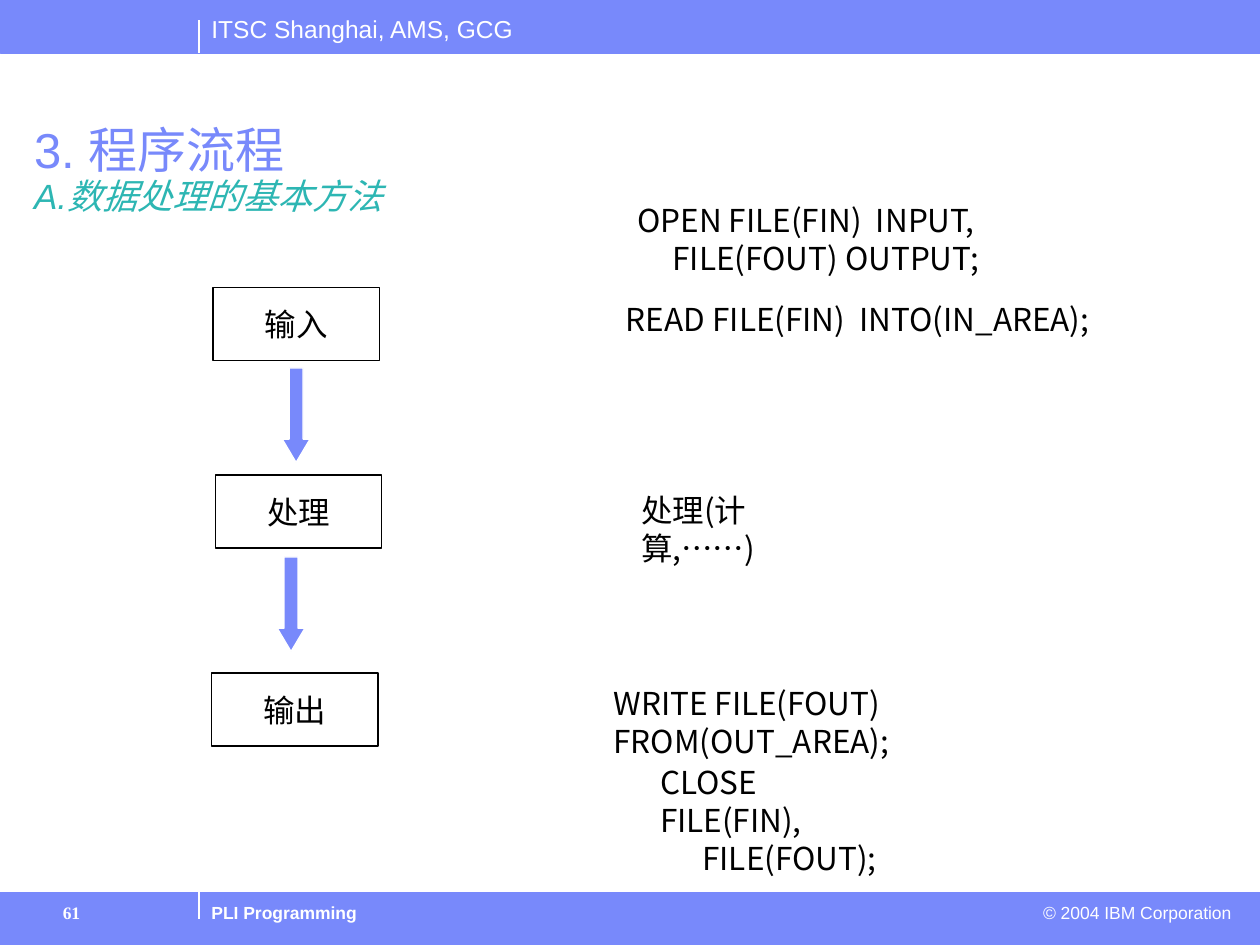
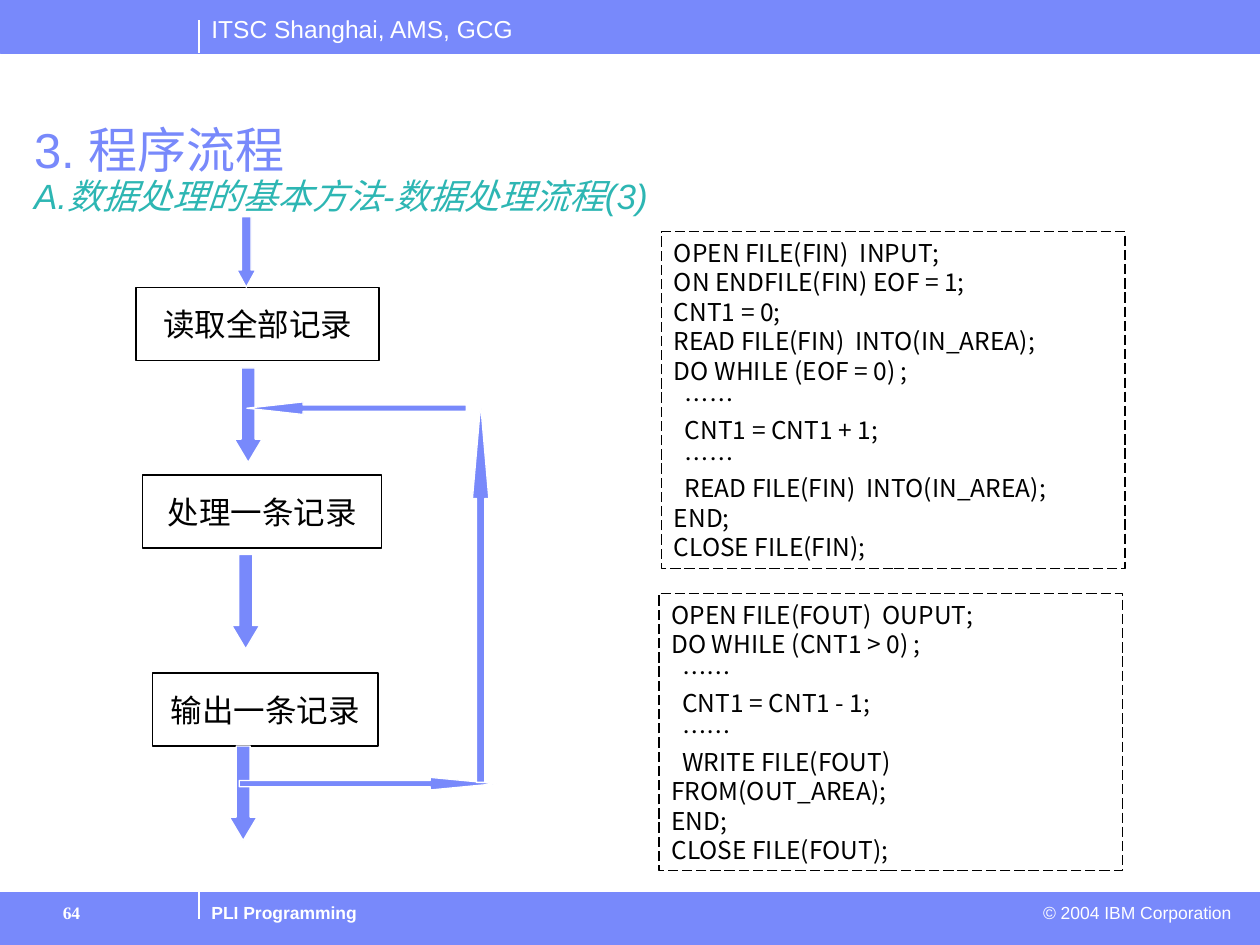
import pptx
import pptx.util
import pptx.dml.color
import pptx.enum.dml
import pptx.enum.shapes
import pptx.enum.text
import pptx.oxml
import pptx.oxml.ns

Inches = pptx.util.Inches
Pt = pptx.util.Pt
RGBColor = pptx.dml.color.RGBColor
SHAPE = pptx.enum.shapes.MSO_SHAPE
ALIGN = pptx.enum.text.PP_ALIGN
ANCHOR = pptx.enum.text.MSO_ANCHOR

BLUE = RGBColor(0x78, 0x89, 0xFB)
TEAL = RGBColor(0x2D, 0xB6, 0xB3)
WHITE = RGBColor(0xFF, 0xFF, 0xFF)
BLACK = RGBColor(0x00, 0x00, 0x00)
LATIN, CJK, SERIF = "Arial", "Noto Sans CJK SC", "Times New Roman"

# Content shared by the slides
HEADER = "ITSC Shanghai, AMS, GCG"
FOOTER = "PLI Programming"
COPYRIGHT = "© 2004 IBM Corporation"
TITLE = "3. 程序流程"

# Geometry shared by the slides
SLIDE_W, SLIDE_H = 10, 7.5
BAND_H = 0.42
FOOTER_TOP = SLIDE_H - BAND_H
DIVIDER_X = 1.58
STEP_H = 0.58
STEP_TOPS = (2.28, 3.77, 5.34)
FLOW_SIZE = (0.22, 0.75)
FLOW_HEAD = 0.84

# Steps: label, left, width. Arrows: shape, left, top, width, height, head ratio.
# Code: lines, left, top, width, height.
SLIDES = [
    {
        "number": "61",
        "subtitle": "A.数据处理的基本方法",
        "steps": [("输入", 1.69, 1.32), ("处理", 1.71, 1.32), ("输出", 1.68, 1.32)],
        "arrows": [
            (SHAPE.DOWN_ARROW, 2.24, 2.92, *FLOW_SIZE, FLOW_HEAD),
            (SHAPE.DOWN_ARROW, 2.2, 4.42, *FLOW_SIZE, FLOW_HEAD),
        ],
        "code_size": 18,
        "code_framed": False,
        "code": [
            (["OPEN FILE(FIN)  INPUT,", "     FILE(FOUT) OUTPUT;"], 4.96, 1.55, 3.2, 0.7),
            (["READ FILE(FIN)  INTO(IN_AREA);"], 4.87, 2.33, 4.2, 0.4),
            (["处理(计算,……)"], 4.99, 3.85, 1.22, 0.7),
            (["WRITE FILE(FOUT)  FROM(OUT_AREA);"], 4.77, 5.38, 2.6, 0.7),
            (["CLOSE FILE(FIN),", "      FILE(FOUT);"], 5.14, 6.01, 2.02, 1),
        ],
    },
    {
        "number": "64",
        "subtitle": "A.数据处理的基本方法-数据处理流程(3)",
        "steps": [("读取全部记录", 1.08, 1.93), ("处理一条记录", 1.13, 1.9),
                  ("输出一条记录", 1.21, 1.79)],
        "arrows": [
            (SHAPE.DOWN_ARROW, 1.86, 2.92, *FLOW_SIZE, FLOW_HEAD),
            (SHAPE.DOWN_ARROW, 1.84, 4.4, *FLOW_SIZE, FLOW_HEAD),
            (SHAPE.DOWN_ARROW, 1.82, 5.92, *FLOW_SIZE, FLOW_HEAD),
            (SHAPE.RIGHT_ARROW, 1.9, 6.17, 2.04, 0.1, 5.25),
            (SHAPE.UP_ARROW, 3.75, 3.21, 0.13, 3, 5.75),
            (SHAPE.LEFT_ARROW, 1.96, 3.19, 1.74, 0.1, 4.46),
            (SHAPE.DOWN_ARROW, 1.88, 1.72, 0.15, 0.56, 0.91),
        ],
        "code_size": 14,
        "code_framed": True,
        "code": [
            ([
                "OPEN FILE(FIN)  INPUT;",
                "ON ENDFILE(FIN) EOF = 1;",
                "CNT1 = 0;",
                "READ FILE(FIN)  INTO(IN_AREA);",
                "DO WHILE (EOF = 0) ;",
                "  ……",
                "  CNT1 = CNT1 + 1;",
                "  ……",
                "  READ FILE(FIN)  INTO(IN_AREA);",
                "END;",
                "CLOSE FILE(FIN);",
            ], 5.25, 1.84, 3.68, 2.67),
            ([
                "OPEN FILE(FOUT)  OUPUT;",
                "DO WHILE (CNT1 > 0) ;",
                "  ……",
                "  CNT1 = CNT1 - 1;",
                "  ……",
                "  WRITE FILE(FOUT)  FROM(OUT_AREA);",
                "END;",
                "CLOSE FILE(FOUT);",
            ], 5.23, 4.71, 3.68, 2.2),
        ],
    },
]


def add_run(p, text, size, color, font=LATIN, bold=False, italic=False):
    r = p.add_run()
    r.text = text
    r.font.size = Pt(size)
    r.font.color.rgb = color
    r.font.name = font
    r.font.bold = bold
    r.font.italic = italic
    ea = pptx.oxml.parse_xml(
        f'<a:ea {pptx.oxml.ns.nsdecls("a")} typeface="{CJK}"/>')
    r.font._element.append(ea)


def write_lines(tf, lines, size, color, align=ALIGN.LEFT, **font):
    tf.word_wrap = True
    for i, line in enumerate(lines):
        p = tf.paragraphs[0] if i == 0 else tf.add_paragraph()
        p.alignment = align
        add_run(p, line, size, color, **font)


def add_text(s, lines, left, top, width, height, size, color, align=ALIGN.LEFT, **font):
    box = s.shapes.add_textbox(Inches(left), Inches(top), Inches(width), Inches(height))
    write_lines(box.text_frame, lines, size, color, align, **font)


def add_shape(s, kind, left, top, width, height, fill, line, line_width=0.75):
    sp = s.shapes.add_shape(kind, Inches(left), Inches(top), Inches(width), Inches(height))
    sp.shadow.inherit = False
    if fill is None:
        sp.fill.background()
    else:
        sp.fill.solid()
        sp.fill.fore_color.rgb = fill
    sp.line.color.rgb = line
    sp.line.width = Pt(line_width)
    return sp


def add_divider(s, top, bottom):
    line = s.shapes.add_connector(pptx.enum.shapes.MSO_CONNECTOR.STRAIGHT,
                                  Inches(DIVIDER_X), Inches(top),
                                  Inches(DIVIDER_X), Inches(bottom))
    line.line.color.rgb = WHITE
    line.line.width = Pt(0.75)
    line._element.spPr.append(
        pptx.oxml.parse_xml(f'<a:effectLst {pptx.oxml.ns.nsdecls("a")}/>'))


def add_frame(s, number):
    for top in (FOOTER_TOP, 0):
        add_shape(s, SHAPE.RECTANGLE, 0, top, SLIDE_W, BAND_H, BLUE, BLUE, 0.25)
    add_text(s, [HEADER], DIVIDER_X, 0.06, 4, 0.34, 14, WHITE)
    add_text(s, [FOOTER], DIVIDER_X, 7.11, 4.5, 0.27, 10, WHITE, bold=True)
    add_text(s, [COPYRIGHT], 6.22, 7.11, 3.65, 0.27, 10, WHITE, ALIGN.RIGHT)
    add_text(s, [number], 0.4, 7.11, 0.87, 0.35, 10, WHITE, font=SERIF, bold=True)
    add_divider(s, 0.16, BAND_H)
    add_divider(s, FOOTER_TOP, 7.29)


def set_title(s, subtitle):
    title = s.shapes.title
    title.left, title.top = Inches(0.17), Inches(0.95)
    title.width, title.height = Inches(9.02), Inches(0.55)
    tf = title.text_frame
    tf.auto_size = pptx.enum.text.MSO_AUTO_SIZE.NONE
    tf.vertical_anchor = ANCHOR.TOP
    p = tf.paragraphs[0]
    p.alignment = ALIGN.LEFT
    p.line_spacing = 0.9
    add_run(p, TITLE, 28, BLUE)
    p.add_line_break()
    add_run(p, subtitle, 20, TEAL, italic=True)


def build_slide(prs, content):
    s = prs.slides.add_slide(prs.slide_layouts[5])
    add_frame(s, content["number"])
    set_title(s, content["subtitle"])

    # Flow steps and arrows
    for (label, left, width), top in zip(content["steps"], STEP_TOPS):
        sp = add_shape(s, SHAPE.RECTANGLE, left, top, width, STEP_H, None, BLACK)
        sp.text_frame.vertical_anchor = ANCHOR.MIDDLE
        write_lines(sp.text_frame, [label], 18, BLACK, ALIGN.CENTER)
    for kind, left, top, width, height, head in content["arrows"]:
        sp = add_shape(s, kind, left, top, width, height, BLUE, WHITE)
        sp.adjustments[0] = 0.5
        sp.adjustments[1] = head

    # Code
    for lines, *place in content["code"]:
        if content["code_framed"]:
            sp = add_shape(s, SHAPE.RECTANGLE, *place, None, BLACK)
            sp.line.dash_style = pptx.enum.dml.MSO_LINE.LONG_DASH
            sp.text_frame.vertical_anchor = ANCHOR.TOP
            write_lines(sp.text_frame, lines, content["code_size"], BLACK, font=CJK)
        else:
            add_text(s, lines, *place, content["code_size"], BLACK, font=CJK)


def main():
    prs = pptx.Presentation()
    prs.slide_width, prs.slide_height = Inches(SLIDE_W), Inches(SLIDE_H)
    for content in SLIDES:
        build_slide(prs, content)
    prs.save("out.pptx")


if __name__ == "__main__":
    main()
